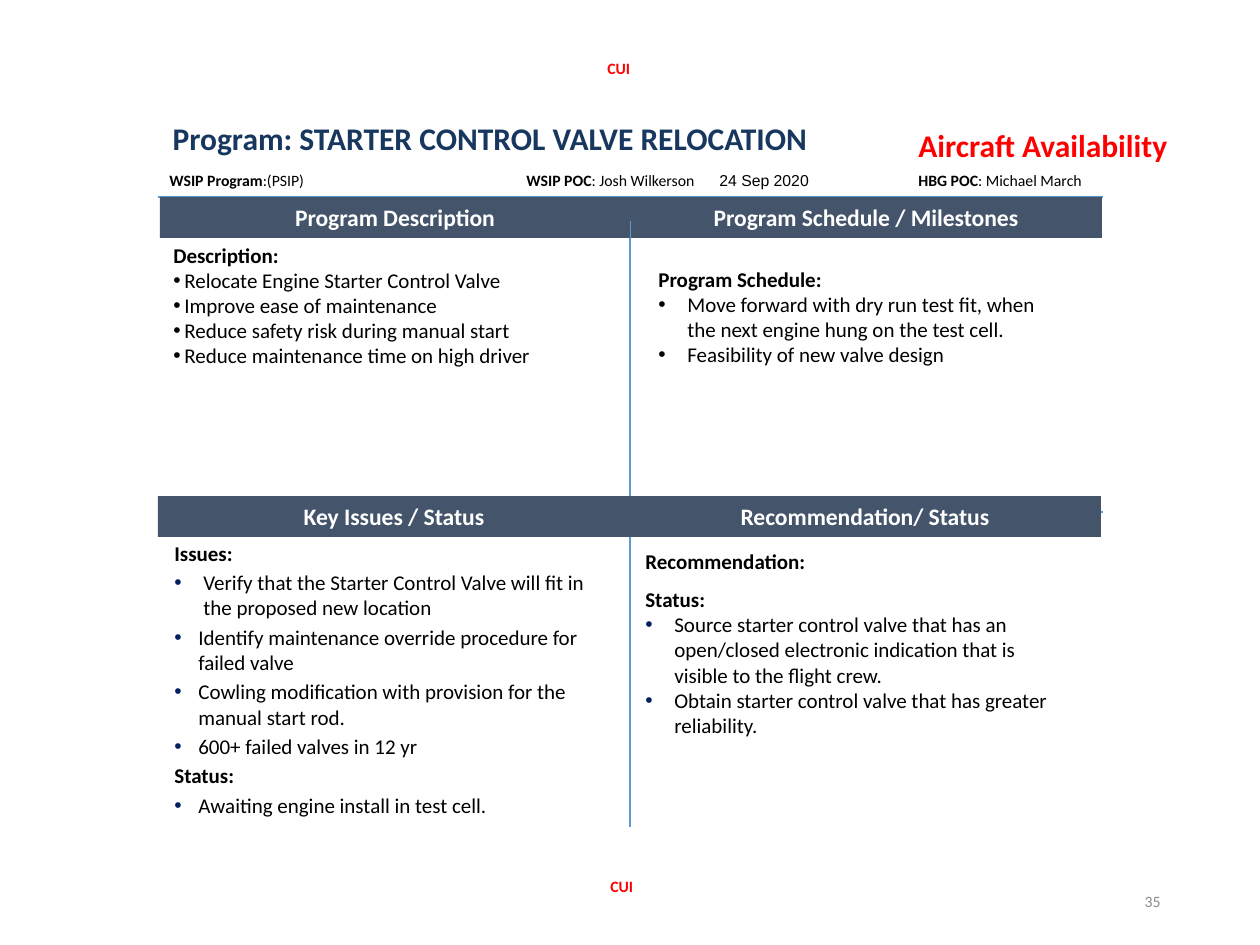
from dataclasses import dataclass
from lxml.etree import SubElement
from pptx import Presentation
from pptx.dml.color import RGBColor
from pptx.enum.shapes import MSO_CONNECTOR, MSO_SHAPE
from pptx.enum.text import MSO_ANCHOR, PP_ALIGN
from pptx.oxml.ns import qn
from pptx.util import Emu, Pt


@dataclass(frozen=True)
class Theme:
    font: str = "Calibri"
    date_font: str = "Arial"
    navy: str = "17375E"
    slate: str = "44546A"
    blue: str = "5B9BD5"
    red: str = "FF0000"
    black: str = "000000"
    white: str = "FFFFFF"
    grey: str = "8C8C8C"
    bullet: str = "002060"
    title_size: float = 18
    title_leading: float = 17.2
    band_size: float = 13.5
    body_size: float = 12
    small_size: float = 9
    rule_width: float = 1.5


theme = Theme()


def px(*lengths):
    return [Emu(round(length * 914400 / 126)) for length in lengths]


def style(paragraph, size, color, bold=False, align=PP_ALIGN.LEFT):
    paragraph.alignment = align
    for run in paragraph.runs:
        run.font.name = theme.font
        run.font.size = Pt(size)
        run.font.bold = bold
        run.font.color.rgb = RGBColor.from_string(color)


deck = Presentation()
deck.slide_width, deck.slide_height = px(1260, 945)
slide = deck.slides.add_slide(deck.slide_layouts[5])
shapes = slide.shapes

heading = shapes.title
heading.left, heading.top, heading.width, heading.height = px(160, 120, 670, 43)
heading.text_frame.text = "Program: STARTER CONTROL VALVE RELOCATION"
category = shapes.add_textbox(*px(906, 128, 333, 43))
category.text_frame.text = "Aircraft Availability"
for headline, color in [(heading, theme.navy), (category, theme.red)]:
    headline.text_frame.word_wrap = True
    headline.text_frame.vertical_anchor = MSO_ANCHOR.TOP
    headline.text_frame.paragraphs[0].line_spacing = Pt(theme.title_leading)
    style(headline.text_frame.paragraphs[0], theme.title_size, color, True)

contacts = [
    (157, 169, "WSIP Program", ":(PSIP)", ""),
    (514, 407, "WSIP POC", ": Josh Wilkerson", "\t24 Sep 2020"),
    (906, 190, "HBG POC", ": Michael March", ""),
]
for left, width, label, value, date in contacts:
    contact = shapes.add_textbox(*px(left, 165, width, 32))
    line = contact.text_frame.paragraphs[0]
    if date:
        stops = SubElement(line._p.get_or_add_pPr(), qn("a:tabLst"))
        SubElement(stops, qn("a:tab"), pos=str(px(193)[0]), algn="l")
    for part in filter(None, (label, value, date)):
        line.add_run().text = part
    style(line, theme.small_size, theme.black)
    line.runs[0].font.bold = True
    if date:
        line.runs[2].font.name = theme.date_font

bands = [
    (630, 197, 472, "Program Schedule / Milestones"),
    (158, 496, 472, "Key Issues / Status"),
    (160, 197, 470, "Program Description"),
    (629, 496, 472, "Recommendation/ Status"),
]
rules = [(158, 197, 1103, 197), (158, 512, 1103, 512), (630, 827, 630, 221)]
for rule_ends in rules:
    rule = shapes.add_connector(MSO_CONNECTOR.STRAIGHT, *px(*rule_ends))
    rule.line.color.rgb = RGBColor.from_string(theme.blue)
    rule.line.width = Pt(theme.rule_width)
    SubElement(rule._element.spPr, qn("a:effectLst"))
for left, top, width, caption in bands:
    band = shapes.add_shape(MSO_SHAPE.RECTANGLE, *px(left, top, width, 41))
    band.shadow.inherit = False
    band.fill.solid()
    band.fill.fore_color.rgb = RGBColor.from_string(theme.slate)
    band.line.fill.background()
    band.text_frame.text = caption
    style(band.text_frame.paragraphs[0], theme.band_size, theme.white, True, PP_ALIGN.CENTER)
    if caption == "Program Schedule / Milestones":
        shapes._spTree.remove(band._element)
        rule._element.addprevious(band._element)

quadrants = [
    ((161, 236, 469, 163), theme.black, 0, 1, [
        ("Description:", 0),
        ("Relocate Engine Starter Control Valve", 11),
        ("Improve ease of maintenance", 11),
        ("Reduce safety risk during manual start", 11),
        ("Reduce maintenance time on high driver", 11),
    ]),
    ((646, 260, 427, 137), theme.black, 0, 1, [
        ("Program Schedule:", 0),
        ("Move forward with dry run test fit, when the next engine hung on the test cell.", 29),
        ("Feasibility of new valve design", 29),
    ]),
    ((162, 534, 441, 297), theme.bullet, 2.4, 1, [
        ("Issues:", 0),
        ("Verify that the Starter Control Valve will fit in the proposed new location", 29),
        ("Identify maintenance override procedure for failed valve", 24),
        ("Cowling modification with provision for the manual start rod.", 24),
        ("600+ failed valves in 12 yr", 24),
        ("Status:", 0),
        ("Awaiting engine install in test cell.", 24),
    ]),
    ((633, 530, 441, 255), theme.bullet, 0, 1.5, [
        ("Recommendation:", 0),
        ("Status:", 0),
        ("Source starter control valve that has an open/closed electronic indication "
         "that is visible to the flight crew.", 29),
        ("Obtain starter control valve that has greater reliability.", 29),
    ]),
]
for bounds, bullet_color, gap, label_spacing, entries in quadrants:
    body = shapes.add_textbox(*px(*bounds)).text_frame
    body.word_wrap = True
    body.text = "\n".join(words for words, indent in entries)
    for position, (entry, (words, indent)) in enumerate(zip(body.paragraphs, entries)):
        if indent:
            properties = entry._p.get_or_add_pPr()
            hang = px(indent)[0]
            properties.set("marL", str(hang))
            properties.set("indent", str(-hang))
            tint = SubElement(properties, qn("a:buClr"))
            SubElement(tint, qn("a:srgbClr"), val=bullet_color)
            SubElement(properties, qn("a:buFont"), typeface=theme.date_font)
            SubElement(properties, qn("a:buChar"), char="•")
        else:
            entry.line_spacing = label_spacing
        if position and gap:
            entry.space_before = Pt(gap)
        style(entry, theme.body_size, theme.black, not indent)

for left, top in [(595, 53), (598, 871)]:
    marking = shapes.add_textbox(*px(left, top, 48, 32))
    marking.text_frame.text = "CUI"
    style(marking.text_frame.paragraphs[0], theme.small_size, theme.red, True)

page_number = shapes.add_textbox(*px(890, 876, 283, 50))
page_number.text_frame.text = "35"
page_number.text_frame.vertical_anchor = MSO_ANCHOR.MIDDLE
style(page_number.text_frame.paragraphs[0], theme.small_size, theme.grey, align=PP_ALIGN.RIGHT)

deck.save("out.pptx")
